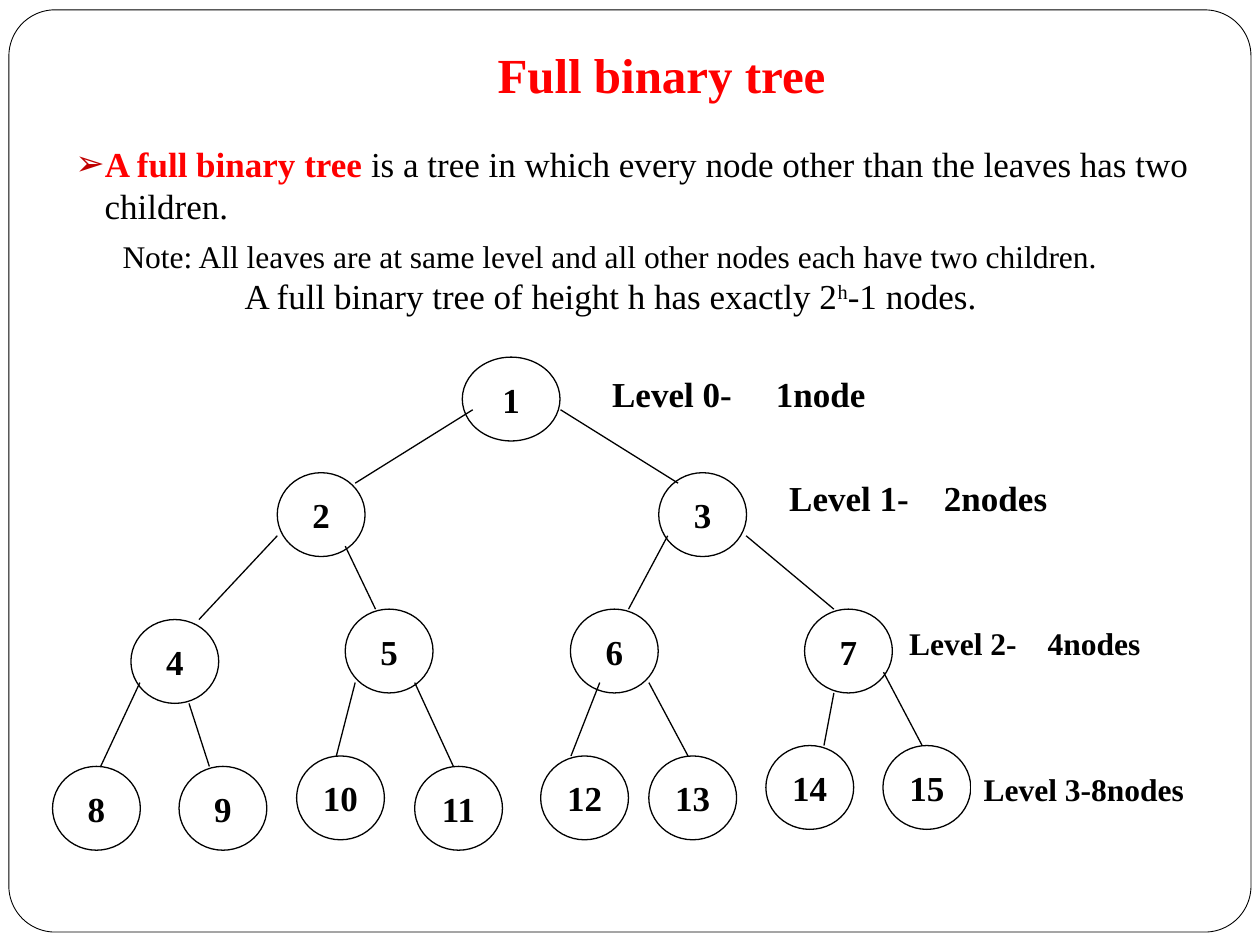
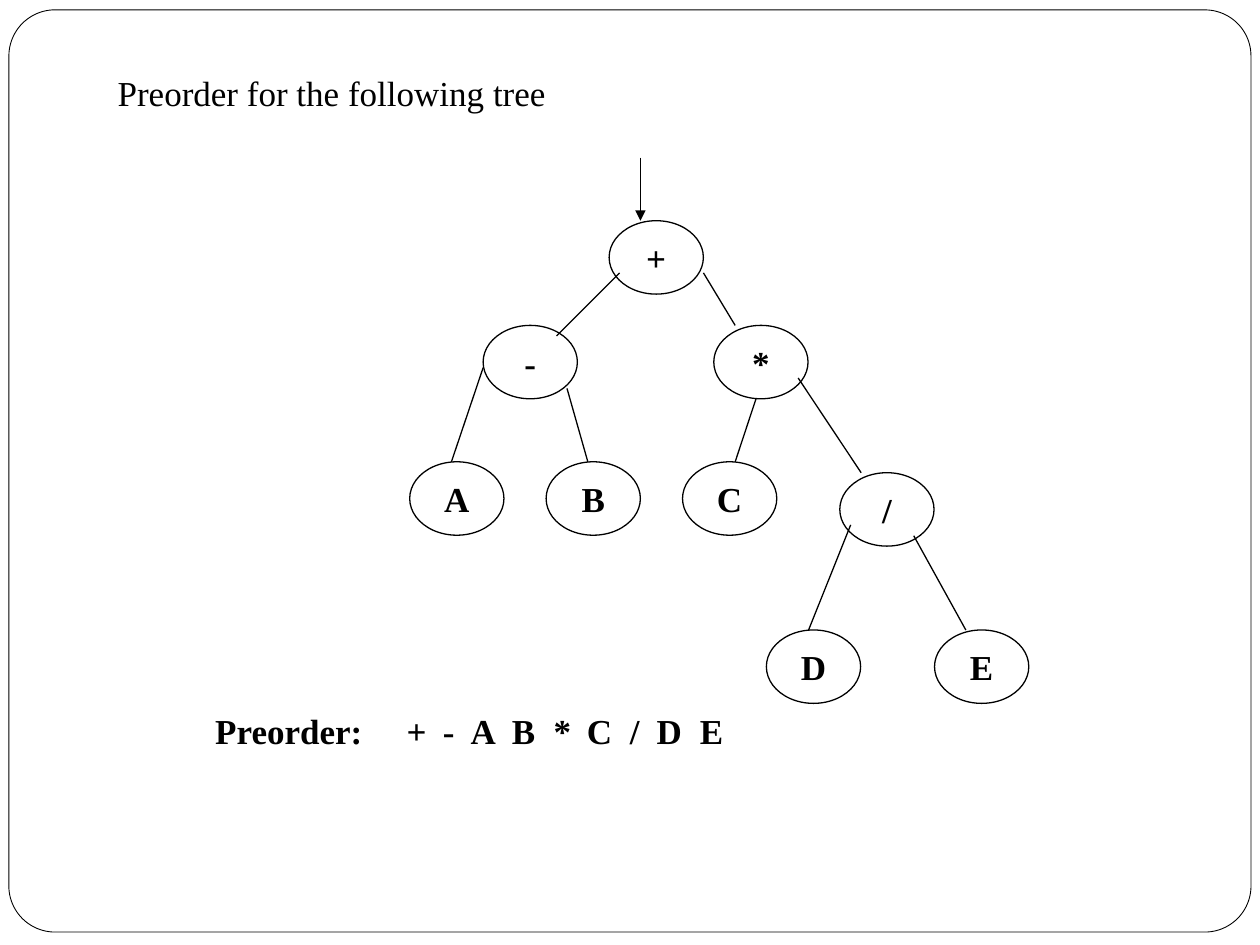
from lxml.etree import SubElement
from pptx import Presentation
from pptx.dml.color import RGBColor
from pptx.enum.shapes import MSO_CONNECTOR as CONN, MSO_SHAPE as SHAPE
from pptx.enum.text import MSO_ANCHOR as ANCHOR, MSO_AUTO_SIZE as FIT, PP_ALIGN as ALIGN
from pptx.oxml.ns import qn
from pptx.util import Cm, Pt

FONT = "Times New Roman"
BLACK, WHITE, RED, DARK_RED = "000000", "FFFFFF", "FF0000", "C00000"
BOLD = dict(size=20, bold=True, color=BLACK)
PLAIN = dict(BOLD, bold=False)
NOTE = dict(PLAIN, size=18)
SMALL_BOLD = dict(BOLD, size=18)
HEADING = dict(size=28, bold=True, color=RED)

FULL_TITLE = dict(text="Full binary tree", box=(2.54, 0.64, 21.59, 1.69),
                  align=ALIGN.CENTER, fmt=HEADING)
FULL_BODY_BOX = (1.27, 2.75, 23.5, 3.76)
FULL_BODY = [
    dict(runs=[("A full binary tree ", dict(BOLD, color=RED)),
               ("is a tree in which every node other than the leaves has two children.", PLAIN)],
         margin=0.59, indent=-0.59, before=0, bullet="➢"),
    dict(runs=[("Note: All leaves are at same level and all other nodes each have two children.", NOTE)],
         margin=0.95, indent=0, before=5.8, bullet=None),
    dict(runs=[("A full binary tree of height h has exactly 2", PLAIN),
               ("h", dict(PLAIN, baseline=30000)), ("-1 nodes.", PLAIN)],
         margin=3.41, indent=0, before=0, bullet=None),
]
FULL_ROOT = [("1", 9.32, 7.2)]
FULL_NODES = [
    ("2", 5.59, 9.53), ("3", 13.28, 9.53),
    ("4", 2.64, 12.49), ("5", 6.96, 12.28), ("6", 11.5, 12.28), ("7", 16.22, 12.28),
    ("8", 1.06, 15.45), ("9", 3.61, 15.45), ("10", 5.98, 15.24), ("11", 8.36, 15.45),
    ("12", 10.9, 15.24), ("13", 13.08, 15.24), ("14", 15.44, 15.03), ("15", 17.8, 15.03),
]
FULL_EDGES = [
    (9.53, 8.26, 7.16, 9.74), (11.3, 8.26, 13.67, 9.74),
    (5.59, 10.8, 4.01, 12.49), (6.96, 11.01, 7.57, 12.28),
    (13.46, 10.8, 12.67, 12.28), (15.04, 10.8, 16.81, 12.28),
    (2.82, 13.76, 2.03, 15.45), (3.81, 14.18, 4.22, 15.45),
    (7.16, 13.76, 6.78, 15.24), (8.36, 13.76, 9.14, 15.45),
    (12.09, 13.76, 11.51, 15.24), (13.08, 13.76, 13.87, 15.24),
    (16.81, 13.97, 16.61, 15.03), (17.81, 13.55, 18.59, 15.03),
]
LEVEL_LABELS = [
    ("Level 0-\t1node", (12.09, 7.37, 5.61, 1.11), BOLD, [3.3]),
    ("Level 1-\t2nodes", (15.66, 9.48, 5.72, 1.11), BOLD, [3.12]),
    ("Level 2-\t4nodes", (18.08, 12.45, 5.61, 1.02), SMALL_BOLD, [2.79]),
    ("Level 3-8nodes", (19.58, 15.4, 4.55, 1.02), SMALL_BOLD, []),
]

PRE_TITLE = dict(text="Preorder for the following tree", box=(2.12, 1.06, 21.59, 1.48),
                 align=ALIGN.LEFT, fmt=PLAIN)
PRE_NODES = [
    ("+", 12.28, 4.45), ("-", 9.74, 6.56), ("*", 14.39, 6.56),
    ("A", 8.26, 9.31), ("B", 11.01, 9.31), ("C", 13.76, 9.31), ("/", 16.93, 9.53),
    ("D", 15.45, 12.7), ("E", 18.84, 12.7),
]
PRE_EDGES = [
    (12.49, 5.5, 11.22, 6.77), (14.18, 5.5, 14.82, 6.56),
    (9.74, 7.41, 9.1, 9.31), (11.43, 7.83, 11.85, 9.31),
    (15.24, 8.04, 14.82, 9.31), (16.09, 7.62, 17.36, 9.53),
    (17.15, 10.58, 16.3, 12.7), (18.42, 10.8, 19.47, 12.7),
]
ROOT_ARROW = (12.91, 3.18, 12.91, 4.45)
PRE_RESULT = ("\t".join(["Preorder:", *"+-AB*C/DE"]), (4.09, 14.17, 11.58, 1.11), BOLD,
              [3.86, 4.59, 5.15, 5.98, 6.82, 7.49, 8.36, 8.9, 9.77])


def rgb(color):
    return RGBColor.from_string(color)


def place(s, box):
    for name, value in zip(("left", "top", "width", "height"), box):
        setattr(s, name, Cm(value))


def add_run(p, text, fmt):
    r = p.add_run()
    r.text = text
    for name, value in dict(name=FONT, size=Pt(fmt["size"]), bold=fmt["bold"]).items():
        setattr(r.font, name, value)
    r.font.color.rgb = rgb(fmt["color"])
    if "baseline" in fmt:
        r._r.get_or_add_rPr().set("baseline", str(fmt["baseline"]))


def set_frame(tf, anchor, wrap=True, bottom=0.13):
    values = dict(margin_left=Cm(0.25), margin_right=Cm(0.25), margin_top=Cm(0.13),
                  margin_bottom=Cm(bottom), vertical_anchor=anchor,
                  word_wrap=wrap, auto_size=FIT.NONE)
    for name, value in values.items():
        setattr(tf, name, value)


def add_tabs(p, stops):
    if stops:
        tabs = SubElement(p._p.get_or_add_pPr(), qn("a:tabLst"))
        for stop in stops:
            SubElement(tabs, qn("a:tab"), pos=str(Cm(stop)), algn="l")


def set_bullet(p, item):
    pPr = p._p.get_or_add_pPr()
    pPr.set("marL", str(Cm(item["margin"])))
    pPr.set("indent", str(Cm(item["indent"])))
    if item["bullet"]:
        SubElement(SubElement(pPr, qn("a:buClr")), qn("a:srgbClr"), val=DARK_RED)
        SubElement(pPr, qn("a:buChar"), char=item["bullet"])
    else:
        SubElement(pPr, qn("a:buNone"))


def add_title(slide, title):
    s = slide.shapes.title
    place(s, title["box"])
    set_frame(s.text_frame, ANCHOR.BOTTOM, bottom=0.25)
    p = s.text_frame.paragraphs[0]
    p.alignment = title["align"]
    add_run(p, title["text"], title["fmt"])


def add_body(slide, box, items):
    s = slide.placeholders[1]
    place(s, box)
    tf = s.text_frame
    set_frame(tf, ANCHOR.TOP)
    for i, item in enumerate(items):
        p = tf.add_paragraph() if i else tf.paragraphs[0]
        set_bullet(p, item)
        p.space_before = Pt(item["before"])
        for text, fmt in item["runs"]:
            add_run(p, text, fmt)


def add_outline(slide, kind, box, width):
    s = slide.shapes.add_shape(kind, *map(Cm, box))
    s.shadow.inherit = False
    s.line.color.rgb = rgb(BLACK)
    s.line.width = Pt(width)
    return s


def add_border(slide):
    s = add_outline(slide, SHAPE.ROUNDED_RECTANGLE, (0.18, 0.2, 25.04, 18.59), 0.5)
    s.adjustments[0] = 0.05
    s.fill.background()


def add_nodes(slide, nodes, width, height):
    for text, left, top in nodes:
        s = add_outline(slide, SHAPE.OVAL, (left, top, width, height), 0.75)
        s.fill.solid()
        s.fill.fore_color.rgb = rgb(WHITE)
        set_frame(s.text_frame, ANCHOR.MIDDLE, wrap=False)
        p = s.text_frame.paragraphs[0]
        p.alignment = ALIGN.CENTER
        add_run(p, text, BOLD)


def add_edge(slide, ends, arrow=False):
    s = slide.shapes.add_connector(CONN.STRAIGHT, *map(Cm, ends))
    s.line.color.rgb = rgb(BLACK)
    s.line.width = Pt(0.75)
    if arrow:
        SubElement(s.line._get_or_add_ln(), qn("a:tailEnd"), type="triangle")
    SubElement(s._element.spPr, qn("a:effectLst"))


def add_label(slide, text, box, fmt, stops):
    s = slide.shapes.add_textbox(*map(Cm, box))
    s.fill.solid()
    s.fill.fore_color.rgb = rgb(WHITE)
    set_frame(s.text_frame, ANCHOR.TOP)
    p = s.text_frame.paragraphs[0]
    add_tabs(p, stops)
    add_run(p, text, fmt)


def new_slide(prs, layout, title):
    slide = prs.slides.add_slide(prs.slide_layouts[layout])
    add_border(slide)
    add_title(slide, title)
    return slide


def full_tree_slide(prs):
    slide = new_slide(prs, 1, FULL_TITLE)
    add_body(slide, FULL_BODY_BOX, FULL_BODY)
    add_nodes(slide, FULL_ROOT, 1.97, 1.69)
    add_nodes(slide, FULL_NODES, 1.77, 1.69)
    for ends in FULL_EDGES:
        add_edge(slide, ends)
    for label in LEVEL_LABELS:
        add_label(slide, *label)


def preorder_slide(prs):
    slide = new_slide(prs, 5, PRE_TITLE)
    add_nodes(slide, PRE_NODES, 1.9, 1.48)
    for ends in PRE_EDGES:
        add_edge(slide, ends)
    add_label(slide, *PRE_RESULT)
    add_edge(slide, ROOT_ARROW, arrow=True)


def main():
    prs = Presentation()
    prs.slide_width, prs.slide_height = Cm(25.4), Cm(19.05)
    full_tree_slide(prs)
    preorder_slide(prs)
    prs.save("out.pptx")


if __name__ == "__main__":
    main()
